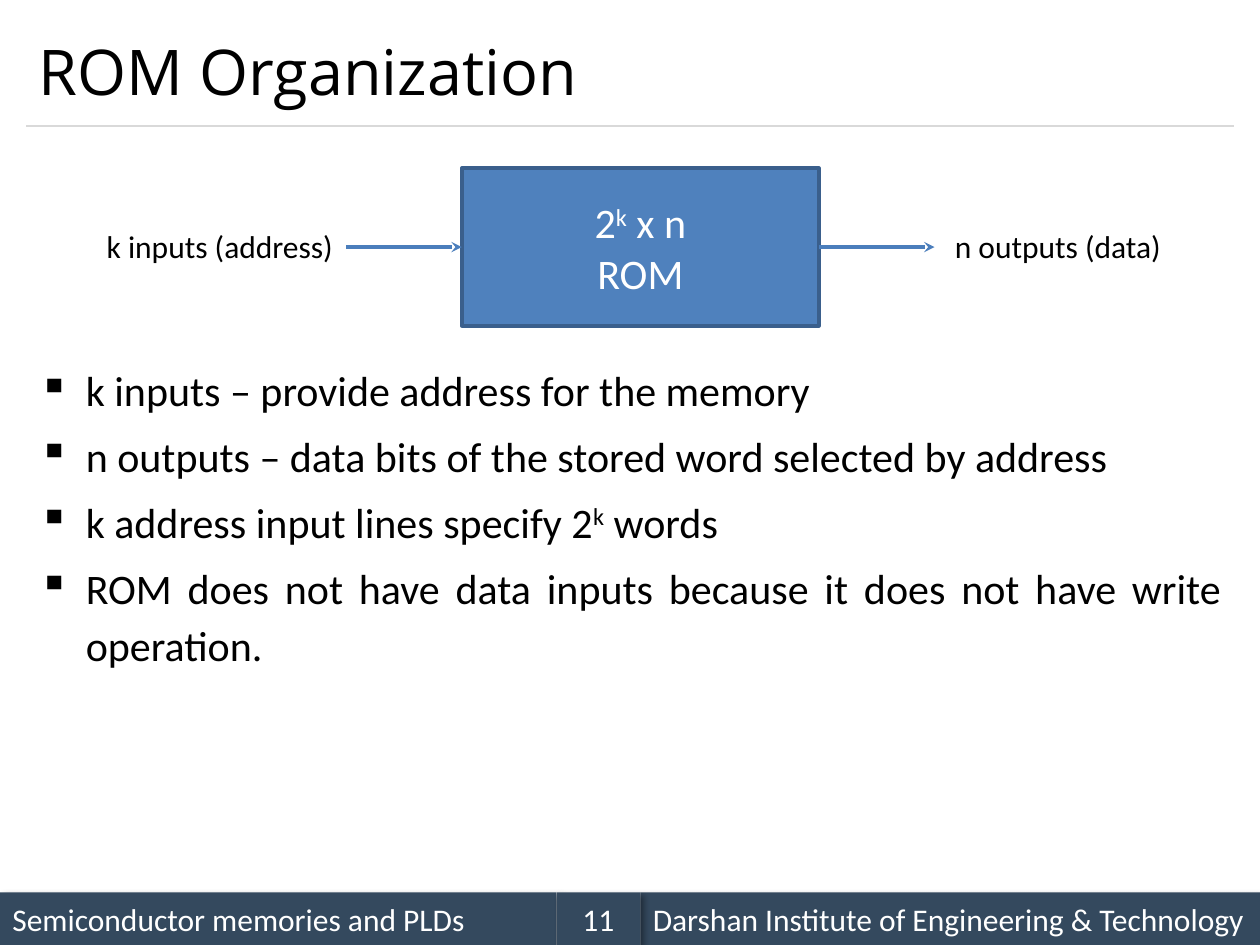
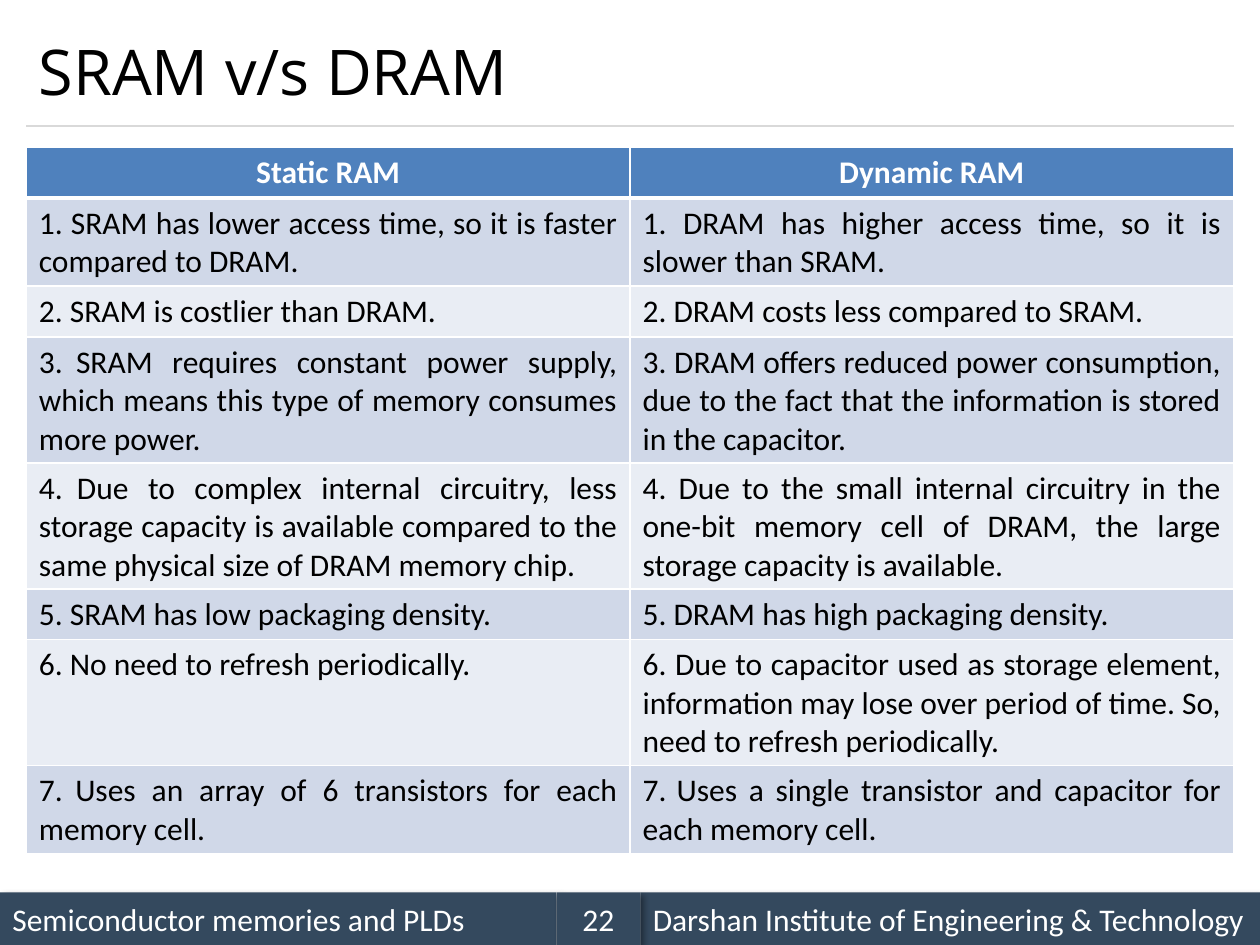
from dataclasses import dataclass

from lxml import etree
from pptx import Presentation
from pptx.dml.color import RGBColor
from pptx.enum.shapes import MSO_CONNECTOR, MSO_SHAPE
from pptx.enum.text import MSO_ANCHOR, MSO_AUTO_SIZE, PP_ALIGN
from pptx.oxml.ns import qn
from pptx.util import Cm, Pt

LEFT, CENTER, JUSTIFY = PP_ALIGN.LEFT, PP_ALIGN.CENTER, PP_ALIGN.JUSTIFY
TOP, MIDDLE = MSO_ANCHOR.TOP, MSO_ANCHOR.MIDDLE
FIT_SHAPE, RECTANGLE = MSO_AUTO_SIZE.SHAPE_TO_FIT_TEXT, MSO_SHAPE.RECTANGLE
STRAIGHT = MSO_CONNECTOR.STRAIGHT
LEFT_SIDE, RIGHT_SIDE = 1, 3


@dataclass(frozen=True)
class Theme:
    title_font: str = "Open Sans"
    body_font: str = "Calibri"
    title_size: int = 36
    body_size: int = 24
    small_size: int = 18
    ink: str = "000000"
    paper: str = "FFFFFF"
    band: str = "34495E"
    rule: str = "D9D9D9"
    accent: str = "4F81BD"
    accent_edge: str = "3A5F8C"
    arrow: str = "4B7EBC"
    rows: tuple = ("D0D8E8", "E9EDF4")


@dataclass(frozen=True)
class Box:
    """A rectangle measured in centimetres."""
    left: float
    top: float
    width: float
    height: float

    @property
    def right(self):
        return self.left + self.width

    @property
    def middle(self):
        return self.top + self.height / 2

    def lengths(self):
        return [Cm(side) for side in (self.left, self.top, self.width, self.height)]


THEME = Theme()
PAGE = Box(0, 0, 25.4, 19.05)
MARGIN = 0.53
INNER = PAGE.width - 2 * MARGIN
TITLE = Box(MARGIN, 0.3, INNER, 2.24)
DIAGRAM = Box(MARGIN, 3.39, INNER, 3.18)
BODY = Box(MARGIN, 7.09, INNER, 10.49)
TABLE = Box(MARGIN, 2.97, INNER, 14.27)
FOOTER = Box(0, 17.99, PAGE.width, 1.06)

SUBJECT = "Semiconductor memories and PLDs"
INSTITUTE = "Darshan Institute of Engineering & Technology"

SUPER_K = ("k", {"superscript": True})
ROM_LABEL = [["2", SUPER_K, " x n"], "ROM"]
ROM_NOTES = [
    "k inputs – provide address for the memory",
    "n outputs – data bits of the stored word selected by address",
    ["k address input lines specify 2", SUPER_K, " words"],
    "ROM does not have data inputs because it does not have write operation.",
]


def numbered(number, gap_size, text):
    """Spans for a numbered point whose space after the number has its own size."""
    return [f"{number}.", (" ", {"size": gap_size}), text]


# Each row: lines of text it takes, static RAM, dynamic RAM
COMPARISON = [
    (1, "Static RAM", "Dynamic RAM"),
    (2, "1. SRAM has lower access time, so it is faster compared to DRAM.",
     "1. DRAM has higher access time, so it is slower than SRAM."),
    (1, "2. SRAM is costlier than DRAM.", "2. DRAM costs less compared to SRAM."),
    (3, numbered(3, 2, "SRAM requires constant power supply, which means this type "
                       "of memory consumes more power."),
     "3. DRAM offers reduced power consumption, due to the fact that the "
     "information is stored in the capacitor."),
    (3, numbered(4, 4, "Due to complex internal circuitry, less storage capacity is "
                       "available compared to the same physical size of DRAM memory chip."),
     "4. Due to the small internal circuitry in the one-bit memory cell of DRAM, "
     "the large storage capacity is available."),
    (1, "5. SRAM has low packaging density.", "5. DRAM has high packaging density."),
    (3, "6. No need to refresh periodically.",
     "6. Due to capacitor used as storage element, information may lose over "
     "period of time. So, need to refresh periodically."),
    (2, numbered(7, 9, "Uses an array of 6 transistors for each memory cell."),
     numbered(7, 14, "Uses a single transistor and capacitor for each memory cell.")),
]


def rgb(color):
    return RGBColor.from_string(color)


def add_child(parent, tag, **attributes):
    child = etree.SubElement(parent, qn(tag))
    for name, value in attributes.items():
        child.set(name, str(value))
    return child


def write(frame, paragraphs, *, size=THEME.small_size, font=THEME.body_font,
          color=THEME.ink, bold=False, align=LEFT, bullet=None,
          line_spacing=None, space_before=0):
    """Fill a text frame; a paragraph is a string or a list of strings and (text, format)."""
    for index, content in enumerate(paragraphs):
        para = frame.add_paragraph() if index else frame.paragraphs[0]
        if bullet:
            properties = para._p.get_or_add_pPr()
            properties.set("marL", str(Cm(0.95)))
            properties.set("indent", str(Cm(-0.95)))
            add_child(properties, "a:buChar", char=bullet)
        para.alignment = align
        if line_spacing:
            para.line_spacing = line_spacing
        if index and space_before:
            para.space_before = Pt(space_before)
        for part in [content] if isinstance(content, str) else content:
            text, special = (part, {}) if isinstance(part, str) else part
            span = para.add_run()
            span.text = text
            span.font.name = font
            span.font.size = Pt(special.get("size", size))
            span.font.bold = bold
            span.font.color.rgb = rgb(color)
            if special.get("superscript"):
                span._r.get_or_add_rPr().set("baseline", "30000")


def add_text(page, box, paragraphs, *, anchor=TOP, wrap=True, **style):
    frame = page.shapes.add_textbox(*box.lengths()).text_frame
    frame.word_wrap = wrap
    frame.vertical_anchor = anchor
    if not wrap:
        frame.auto_size = FIT_SHAPE
    write(frame, paragraphs, **style)


def add_block(page, box, paragraphs, *, fill, edge=None, **style):
    block = page.shapes.add_shape(RECTANGLE, *box.lengths())
    block.shadow.inherit = False
    block.fill.solid()
    block.fill.fore_color.rgb = rgb(fill)
    if edge:
        block.line.color.rgb = rgb(edge)
        block.line.width = Pt(2)
    else:
        block.line.fill.background()
    block.text_frame.word_wrap = True
    block.text_frame.vertical_anchor = MIDDLE
    write(block.text_frame, paragraphs, color=THEME.paper, **style)
    return block


def add_line(page, start, end, color, width, arrow=False):
    line = page.shapes.add_connector(STRAIGHT, *(Cm(place) for place in (*start, *end)))
    line.line.color.rgb = rgb(color)
    line.line.width = Pt(width)
    if arrow:
        add_child(line.line._get_or_add_ln(), "a:tailEnd", type="stealth")
    add_child(line._element.spPr, "a:effectLst")
    return line


def add_shadow(block):
    effects = block._element.spPr.find(qn("a:effectLst"))
    shadow = add_child(effects, "a:outerShdw", blurRad=Pt(4), dist=Pt(3),
                       dir=45 * 60000, algn="tl", rotWithShape=0)
    tint = add_child(shadow, "a:srgbClr", val=THEME.ink)
    add_child(tint, "a:alpha", val=40000)


def add_footer(page, box, number):
    number_left, institute_left = 11.22, 12.91
    bands = [
        (0, number_left, SUBJECT, LEFT),
        (institute_left, box.width - institute_left, INSTITUTE, LEFT),
        (number_left, institute_left - number_left, str(number), CENTER),
    ]
    for left, width, text, align in bands:
        band = Box(box.left + left, box.top, width, box.height)
        add_shadow(add_block(page, band, [text], fill=THEME.band, align=align))


def add_title(page, box, title):
    bottom = box.top + box.height
    add_line(page, (box.left, bottom), (box.right, bottom), THEME.rule, 0.75)
    add_text(page, box, [title], anchor=MIDDLE, font=THEME.title_font,
             size=THEME.title_size)


def add_page(deck, title, number):
    page = deck.slides.add_slide(deck.slide_layouts[6])
    add_footer(page, FOOTER, number)
    add_title(page, TITLE, title)
    return page


def add_rom_diagram(page, box):
    arrow_length = 2.33
    rom_box = Box(box.left + 8.78, box.top, 7.2, box.height)
    rom = add_block(page, rom_box, ROM_LABEL, fill=THEME.accent,
                    edge=THEME.accent_edge, size=THEME.body_size, align=CENTER)
    middle = rom_box.middle
    start, end = rom_box.left - arrow_length, rom_box.right + arrow_length
    address = add_line(page, (start, middle), (rom_box.left, middle),
                       THEME.arrow, 2, arrow=True)
    address.end_connect(rom, LEFT_SIDE)
    data = add_line(page, (rom_box.right, middle), (end, middle),
                    THEME.arrow, 2, arrow=True)
    data.begin_connect(rom, RIGHT_SIDE)
    for left, width, label in ((box.left + 1.37, 5.13, "k inputs (address)"),
                               (end + 0.16, 4.72, "n outputs (data)")):
        label_box = Box(left, middle - 0.53, width, 1.02)
        add_text(page, label_box, [label], wrap=False)


def set_borders(cell, top, bottom):
    properties = cell._tc.get_or_add_tcPr()
    for tag, width in (("a:lnL", 1), ("a:lnR", 1), ("a:lnT", top), ("a:lnB", bottom)):
        border = add_child(properties, tag, w=Pt(width))
        add_child(add_child(border, "a:solidFill"), "a:srgbClr", val=THEME.paper)


def add_comparison(page, box, rows):
    columns = len(rows[0]) - 1
    table = page.shapes.add_table(len(rows), columns, *box.lengths()).table
    table.first_row = table.horz_banding = False
    for column in table.columns:
        column.width = Cm(box.width / columns)
    for index, (lines, *texts) in enumerate(rows):
        header = index == 0
        table.rows[index].height = Cm(0.26 + 0.76 * lines)
        fill = THEME.accent if header else THEME.rows[(index - 1) % 2]
        for position, text in enumerate(texts):
            cell = table.cell(index, position)
            set_borders(cell, top=3 if index == 1 else 1, bottom=3 if header else 1)
            cell.fill.solid()
            cell.fill.fore_color.rgb = rgb(fill)
            write(cell.text_frame, [text], bold=header,
                  color=THEME.paper if header else THEME.ink,
                  align=CENTER if header else JUSTIFY)


def add_rom_page(deck):
    page = add_page(deck, "ROM Organization", 11)
    add_text(page, BODY, ROM_NOTES, size=THEME.body_size, align=JUSTIFY,
             bullet="▪", line_spacing=1.14, space_before=4.8)
    add_rom_diagram(page, DIAGRAM)


def add_ram_page(deck):
    page = add_page(deck, "SRAM v/s DRAM", 22)
    add_comparison(page, TABLE, COMPARISON)


def main():
    deck = Presentation()
    deck.slide_width, deck.slide_height = Cm(PAGE.width), Cm(PAGE.height)
    add_rom_page(deck)
    add_ram_page(deck)
    deck.save("out.pptx")


if __name__ == "__main__":
    main()
